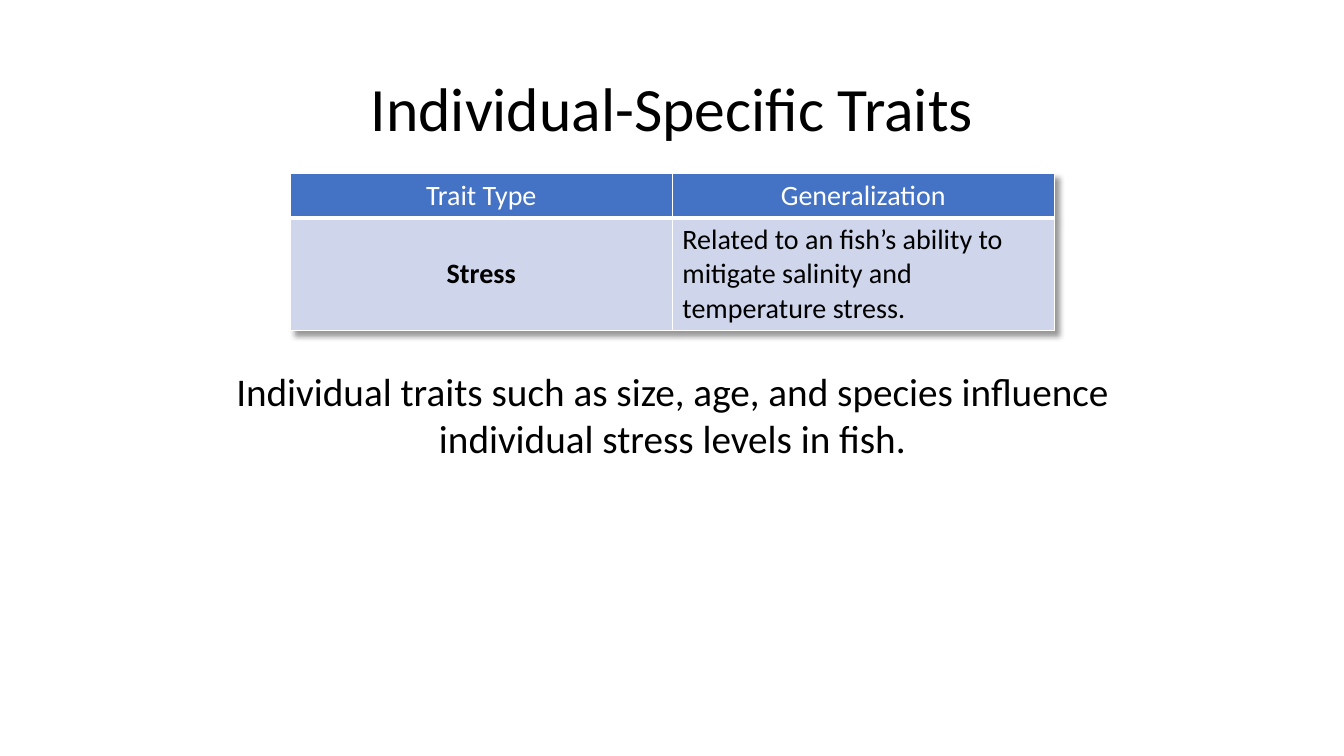
from dataclasses import dataclass

from lxml.etree import SubElement
from pptx import Presentation
from pptx.dml.color import RGBColor
from pptx.enum.text import MSO_ANCHOR, PP_ALIGN
from pptx.oxml.ns import qn
from pptx.slide import Slide
from pptx.table import Table, _Cell
from pptx.text.text import TextFrame
from pptx.util import Inches, Pt

SLIDE_WIDTH = Inches(13.33)
SLIDE_HEIGHT = Inches(7.5)


@dataclass(frozen=True)
class Theme:
    font: str = "Calibri"
    dark: str = "000000"
    light: str = "FFFFFF"
    header_fill: str = "4472C4"
    body_fill: str = "CFD5EA"
    title_size: int = 44
    note_size: int = 28
    table_size: int = 20
    thin_border: int = 1
    header_border: int = 3


THEME = Theme()


@dataclass(frozen=True)
class Box:
    """An area in percent of the slide's width and height."""

    left: float
    top: float
    width: float
    height: float

    def lengths(self) -> tuple[int, int, int, int]:
        return (across(self.left), down(self.top),
                across(self.width), down(self.height))


@dataclass(frozen=True)
class TraitCell:
    text: str
    color: str
    fill: str
    bold: bool = False
    align: PP_ALIGN = PP_ALIGN.CENTER
    bottom_border: int = THEME.thin_border


TITLE_BOX = Box(6.9, 5.07, 86.25, 19.33)
TABLE_BOX = Box(21.6, 22.93, 56.85, 18)
NOTE_BOX = Box(13.2, 47.87, 73.65, 13.87)
ROW_HEIGHTS = (5.2, 12.8)

HEADERS = [
    TraitCell(text, THEME.light, THEME.header_fill,
              bottom_border=THEME.header_border)
    for text in ("Trait Type", "Generalization")
]
STRESS = [
    TraitCell("Stress", THEME.dark, THEME.body_fill, bold=True),
    TraitCell("Related to an fish’s ability to mitigate salinity and "
              "temperature stress.", THEME.dark, THEME.body_fill,
              align=PP_ALIGN.LEFT),
]


def across(percent: float) -> int:
    return round(SLIDE_WIDTH * percent / 100)


def down(percent: float) -> int:
    return round(SLIDE_HEIGHT * percent / 100)


def write(frame: TextFrame, text: str, size: int, color: str,
          align: PP_ALIGN = PP_ALIGN.CENTER, bold: bool = False) -> None:
    frame.word_wrap = True
    paragraph = frame.paragraphs[0]
    paragraph.alignment = align
    run = paragraph.add_run()
    run.text = text
    run.font.name = THEME.font
    run.font.size = Pt(size)
    run.font.bold = bold
    run.font.color.rgb = RGBColor.from_string(color)


def add_borders(cell: _Cell, bottom: int) -> None:
    """Put white lines on all sides, ahead of the fill as the schema asks."""
    properties = cell._tc.get_or_add_tcPr()
    widths = {"lnL": THEME.thin_border, "lnR": THEME.thin_border,
              "lnT": THEME.thin_border, "lnB": bottom}
    for position, (side, width) in enumerate(widths.items()):
        line = SubElement(properties, qn(f"a:{side}"), w=str(Pt(width)))
        fill = SubElement(line, qn("a:solidFill"))
        SubElement(fill, qn("a:srgbClr"), val=THEME.light)
        properties.insert(position, line)


def add_table_shadow(table: Table) -> None:
    properties = table._tbl.tblPr
    effects = SubElement(properties, qn("a:effectLst"))
    shadow = SubElement(effects, qn("a:outerShdw"), blurRad=str(Pt(4)),
                        dist=str(Pt(4)), dir="2700000", algn="tl",
                        rotWithShape="0")
    color = SubElement(shadow, qn("a:srgbClr"), val=THEME.dark)
    SubElement(color, qn("a:alpha"), val="40000")
    properties.insert(0, effects)


def add_title(slide: Slide) -> None:
    title = slide.shapes.title
    title.left, title.top, title.width, title.height = TITLE_BOX.lengths()
    frame = title.text_frame
    frame.vertical_anchor = MSO_ANCHOR.MIDDLE
    write(frame, "Individual-Specific Traits", THEME.title_size, THEME.dark)
    frame.paragraphs[0].line_spacing = 0.9


def add_trait_table(slide: Slide) -> None:
    rows = [HEADERS, STRESS]
    table = slide.shapes.add_table(
        len(rows), len(HEADERS), *TABLE_BOX.lengths()).table
    table.horz_banding = False
    for row_index, (traits, height) in enumerate(zip(rows, ROW_HEIGHTS)):
        table.rows[row_index].height = down(height)
        for column_index, trait in enumerate(traits):
            cell = table.cell(row_index, column_index)
            cell.vertical_anchor = MSO_ANCHOR.MIDDLE
            cell.fill.solid()
            cell.fill.fore_color.rgb = RGBColor.from_string(trait.fill)
            add_borders(cell, trait.bottom_border)
            write(cell.text_frame, trait.text, THEME.table_size, trait.color,
                  trait.align, trait.bold)
    add_table_shadow(table)


def add_note(slide: Slide) -> None:
    note = slide.shapes.add_textbox(*NOTE_BOX.lengths())
    write(note.text_frame,
          "Individual traits such as size, age, and species influence "
          "individual stress levels in fish.", THEME.note_size, THEME.dark)


def main() -> None:
    presentation = Presentation()
    presentation.slide_width = SLIDE_WIDTH
    presentation.slide_height = SLIDE_HEIGHT
    title_only = presentation.slide_layouts.get_by_name("Title Only")
    slide = presentation.slides.add_slide(title_only)
    add_title(slide)
    add_trait_table(slide)
    add_note(slide)
    presentation.save("out.pptx")


if __name__ == "__main__":
    main()
